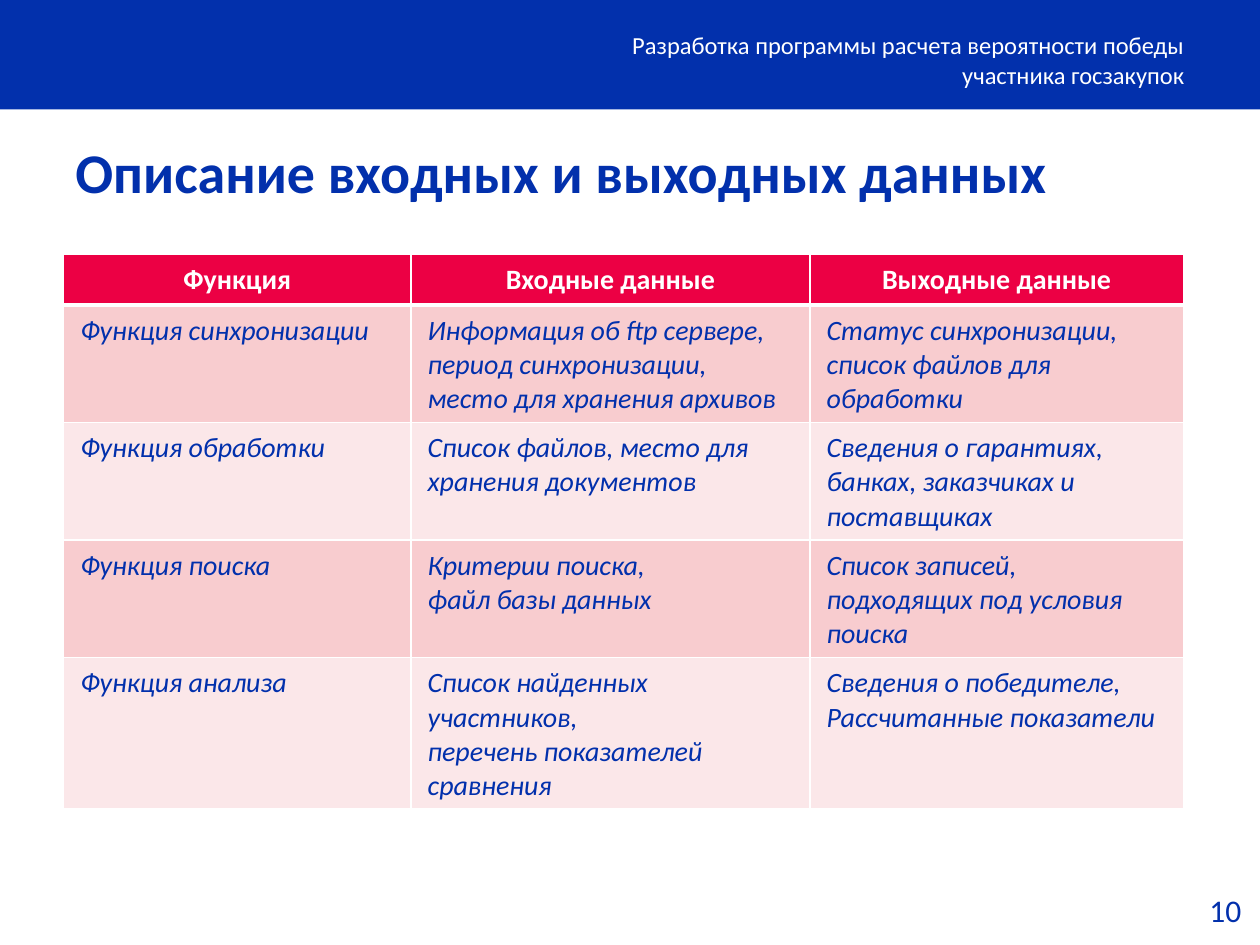
from lxml import etree
from pptx import Presentation
from pptx import util as u
from pptx.dml.color import RGBColor
from pptx.enum import shapes, text
from pptx.oxml import ns

Pt = u.Pt
BLUE, RED, WHITE = "0230AC", "EC0044", "FFFFFF"
BANDS = ["F8CCCF", "FBE7E9"]
LEFT, RIGHT = text.PP_ALIGN.LEFT, text.PP_ALIGN.RIGHT
MID = text.PP_ALIGN.CENTER


def color(code):
    return RGBColor.from_string(code)


def paint(obj, code):
    obj.fill.solid()
    obj.fill.fore_color.rgb = color(code)


class Deck:
    face = "Calibri"

    def __init__(self, wide, high):
        self.prs = Presentation()
        self.prs.slide_width, self.prs.slide_height = Pt(wide), Pt(high)
        self.slide = self.prs.slides.add_slide(self.prs.slide_layouts[6])

    def put(self, frame, words, size, code, align=LEFT, bold=False, slant=False):
        """Fill a text frame, one paragraph to a line."""
        frame.text = words
        for par in frame.paragraphs:
            par.alignment = align
            font = par.font
            font.name, font.size = self.face, Pt(size)
            font.bold, font.italic = bold, slant
            font.color.rgb = color(code)

    def bar(self, x, y, w, h, code):
        box = self.slide.shapes.add_shape(
            shapes.MSO_SHAPE.RECTANGLE, Pt(x), Pt(y), Pt(w), Pt(h))
        box.shadow.inherit = False
        paint(box, code)
        box.line.fill.background()

    def label(self, x, y, w, h, words, size, code, wrap=True,
              anchor=text.MSO_ANCHOR.MIDDLE, **style):
        box = self.slide.shapes.add_textbox(Pt(x), Pt(y), Pt(w), Pt(h))
        frame = box.text_frame
        frame.word_wrap, frame.vertical_anchor = wrap, anchor
        self.put(frame, words, size, code, **style)

    def edge(self, cell, side, width, code):
        line = etree.SubElement(cell._tc.get_or_add_tcPr(), ns.qn("a:ln" + side),
                                w=str(Pt(width)))
        fill = etree.SubElement(line, ns.qn("a:solidFill"))
        etree.SubElement(fill, ns.qn("a:srgbClr"), val=code)

    def table(self, x, y, cols, rows, data):
        grid = self.slide.shapes.add_table(
            len(rows), len(cols), Pt(x), Pt(y), Pt(sum(cols)), Pt(sum(rows))).table
        for col, wide in zip(grid.columns, cols):
            col.width = Pt(wide)
        for r, (high, line) in enumerate(zip(rows, data)):
            grid.rows[r].height = Pt(high)
            head = r == 0
            for c, words in enumerate(line):
                cell = grid.cell(r, c)
                cell.margin_left = cell.margin_right = Pt(9.6)
                cell.margin_top = cell.margin_bottom = Pt(4.8)
                for side in "LRTB":
                    heavy = (head and side == "B") or (r == 1 and side == "T")
                    self.edge(cell, side, 3 if heavy else 1, WHITE)
                paint(cell, RED if head else BANDS[(r - 1) % 2])
                self.put(cell.text_frame, words, 16, WHITE if head else BLUE,
                         align=MID if head else LEFT, bold=head, slant=not head)


def main():
    deck = Deck(720, 540)

    # Header band and title
    deck.bar(0, 0, 720, 62.5, BLUE)
    deck.label(36, 65, 648, 65, "Описание входных и выходных данных", 32, BLUE,
               bold=True)
    deck.label(317.5, 19.5, 366.5, 29,
               "Разработка программы расчета вероятности победы участника госзакупок",
               14, WHITE, align=RIGHT)

    # Page number
    deck.label(684, 505.5, 33, 29, "10", 18, BLUE, wrap=False,
               anchor=text.MSO_ANCHOR.TOP)

    # Inputs and outputs of each function
    data = [
        ["Функция", "Входные данные", "Выходные данные"],
        ["Функция синхронизации",
         "Информация об ftp сервере,\nпериод синхронизации,\nместо для хранения архивов",
         "Статус синхронизации,\nсписок файлов для обработки"],
        ["Функция обработки",
         "Список файлов, место для хранения документов",
         "Сведения о гарантиях, банках, заказчиках и поставщиках"],
        ["Функция поиска",
         "Критерии поиска,\nфайл базы данных",
         "Список записей, подходящих под условия поиска"],
        ["Функция анализа",
         "Список найденных участников,\nперечень показателей сравнения",
         "Сведения о победителе,\nРассчитанные показатели"],
    ]
    deck.table(36.3, 145.5, [198.5, 228, 213.5], [25, 65.5, 65.5, 42, 85], data)

    deck.prs.save("out.pptx")


if __name__ == "__main__":
    main()
